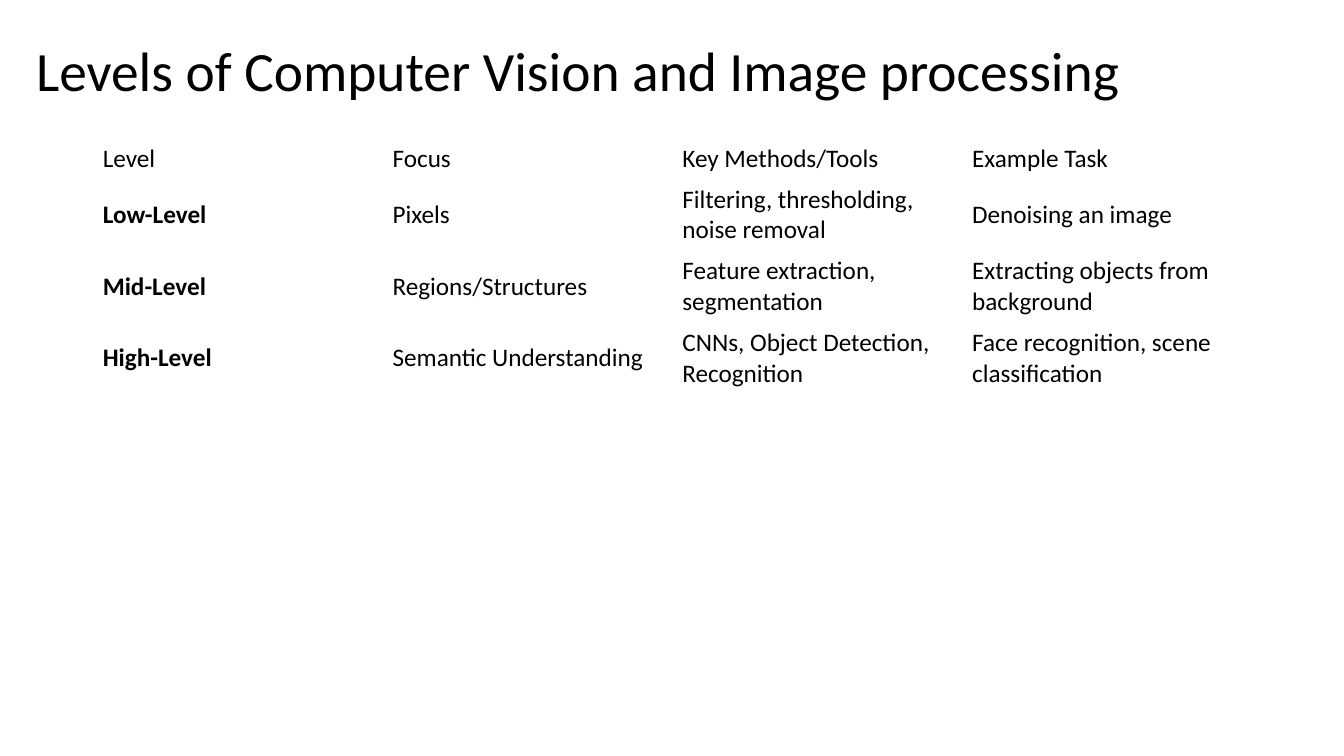
from pptx import Presentation
from pptx.dml.color import RGBColor
from pptx.enum.text import MSO_ANCHOR
from pptx.util import Pt

BLACK = RGBColor(0, 0, 0)
FONT = "Calibri"
COLUMN_WIDTH = 207
HEADER_HEIGHT = 29.2
LEVEL_HEIGHT = 51.2
LEVELS = [
    ("Level", "Focus", "Key Methods/Tools", "Example Task"),
    ("Low-Level", "Pixels", "Filtering, thresholding, noise removal",
     "Denoising an image"),
    ("Mid-Level", "Regions/Structures", "Feature extraction, segmentation",
     "Extracting objects from background"),
    ("High-Level", "Semantic Understanding", "CNNs, Object Detection, Recognition",
     "Face recognition, scene classification"),
]


def write_text(frame, text, size, bold=False):
    frame.text = text
    frame.word_wrap = True
    font = frame.paragraphs[0].runs[0].font
    font.name = FONT
    font.size = Pt(size)
    font.bold = bold
    font.color.rgb = BLACK


def add_title(page, text):
    box = page.shapes.add_textbox(Pt(18.72), Pt(28.8), Pt(874.8), Pt(47.5))
    frame = box.text_frame
    write_text(frame, text, 39.6)
    frame.vertical_anchor = MSO_ANCHOR.MIDDLE
    frame.paragraphs[0].line_spacing = 0.9


def add_level_table(page, rows):
    columns = len(rows[0])
    height = HEADER_HEIGHT + LEVEL_HEIGHT * (len(rows) - 1)
    table = page.shapes.add_table(
        len(rows), columns, Pt(66.24), Pt(98.64),
        Pt(COLUMN_WIDTH * columns), Pt(height)).table
    table.first_row = False
    table.horz_banding = False
    for column in table.columns:
        column.width = Pt(COLUMN_WIDTH)
    for row_index, texts in enumerate(rows):
        is_header = row_index == 0
        table.rows[row_index].height = Pt(HEADER_HEIGHT if is_header else LEVEL_HEIGHT)
        for column_index, text in enumerate(texts):
            cell = table.cell(row_index, column_index)
            cell.fill.background()
            cell.vertical_anchor = MSO_ANCHOR.MIDDLE
            is_level_name = column_index == 0 and not is_header
            write_text(cell.text_frame, text, 18, is_level_name)


def main():
    deck = Presentation()
    deck.slide_width = Pt(960)
    deck.slide_height = Pt(540)
    page = deck.slides.add_slide(deck.slide_layouts[6])
    add_title(page, "Levels of Computer Vision and Image processing")
    add_level_table(page, LEVELS)
    deck.save("out.pptx")


if __name__ == "__main__":
    main()
